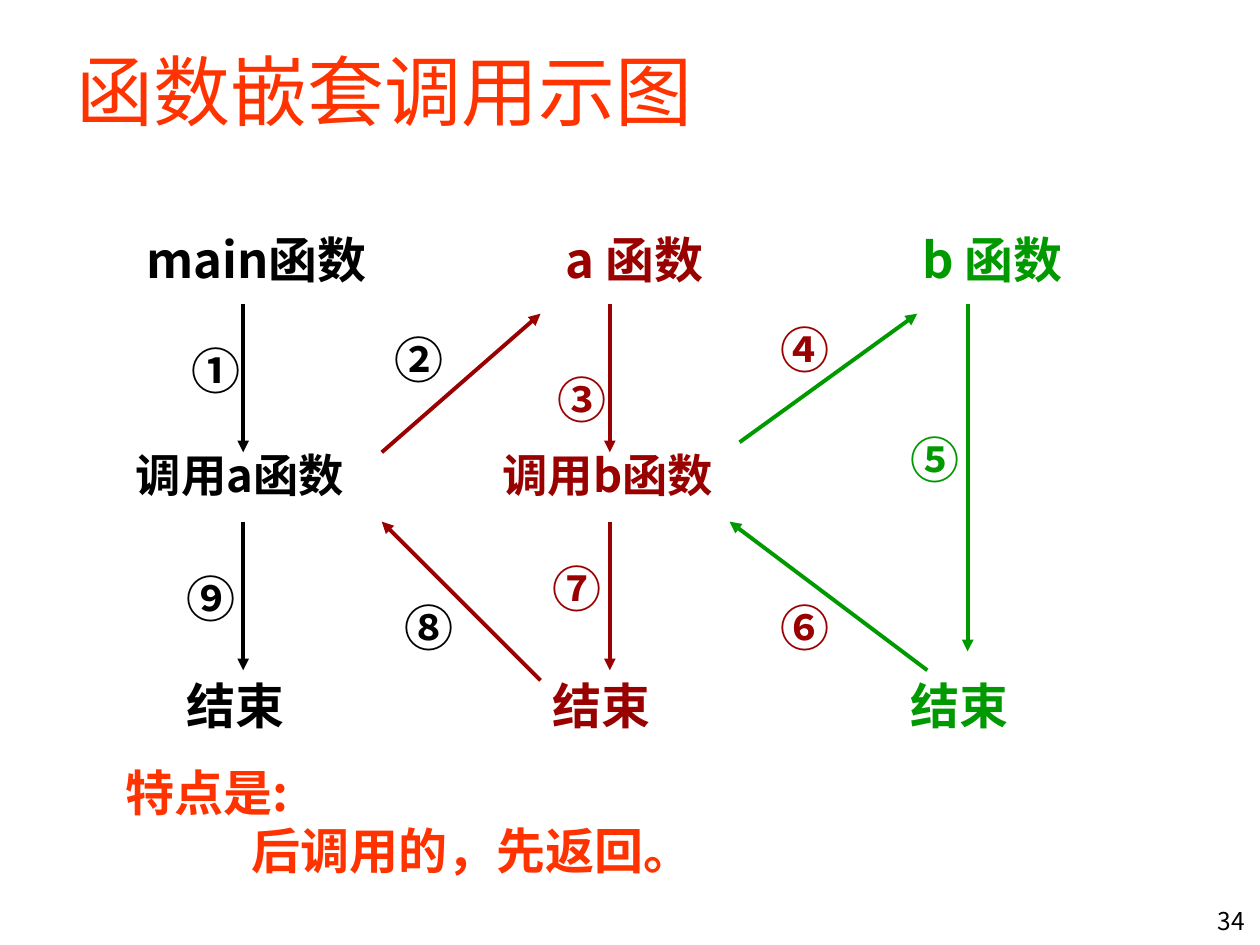
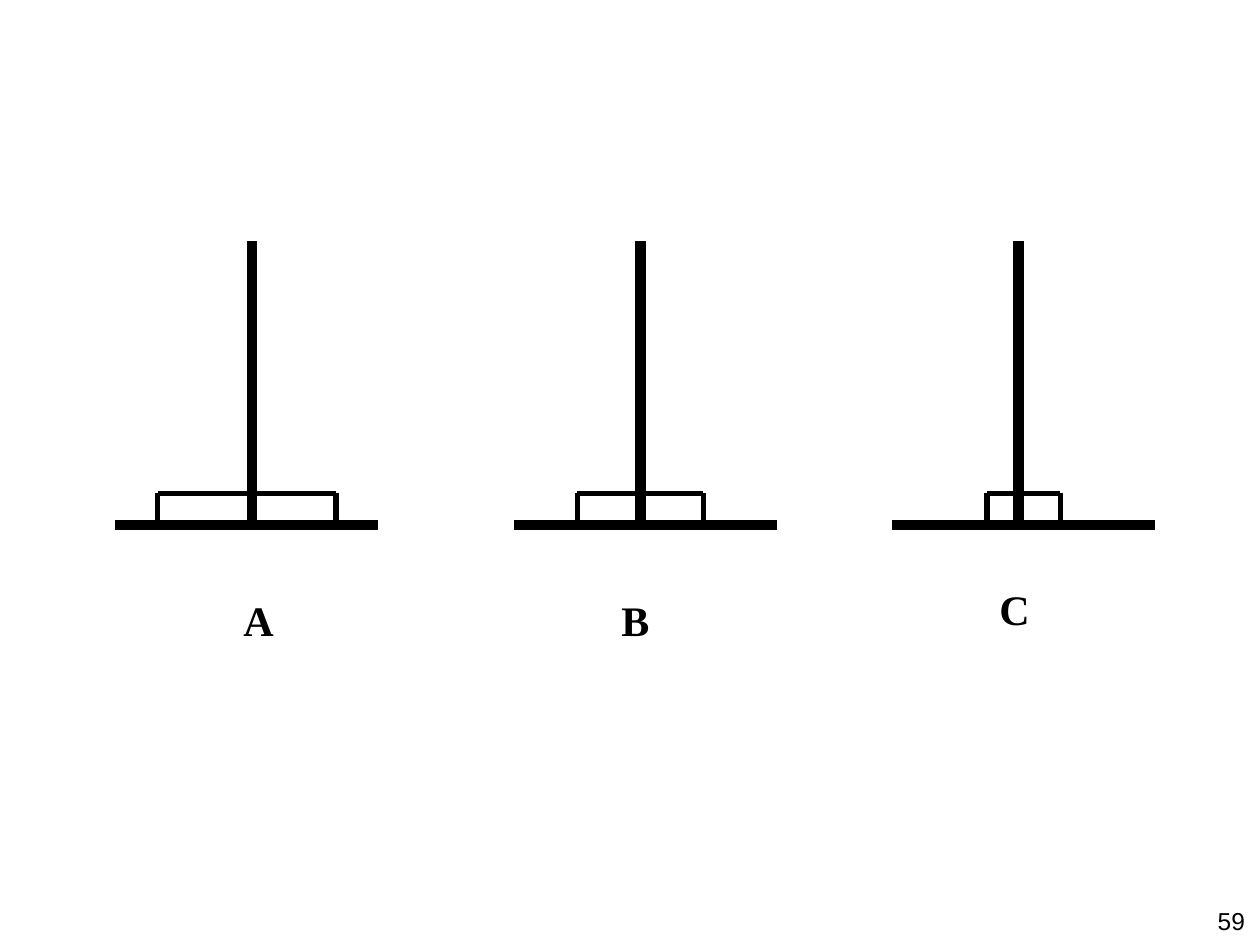
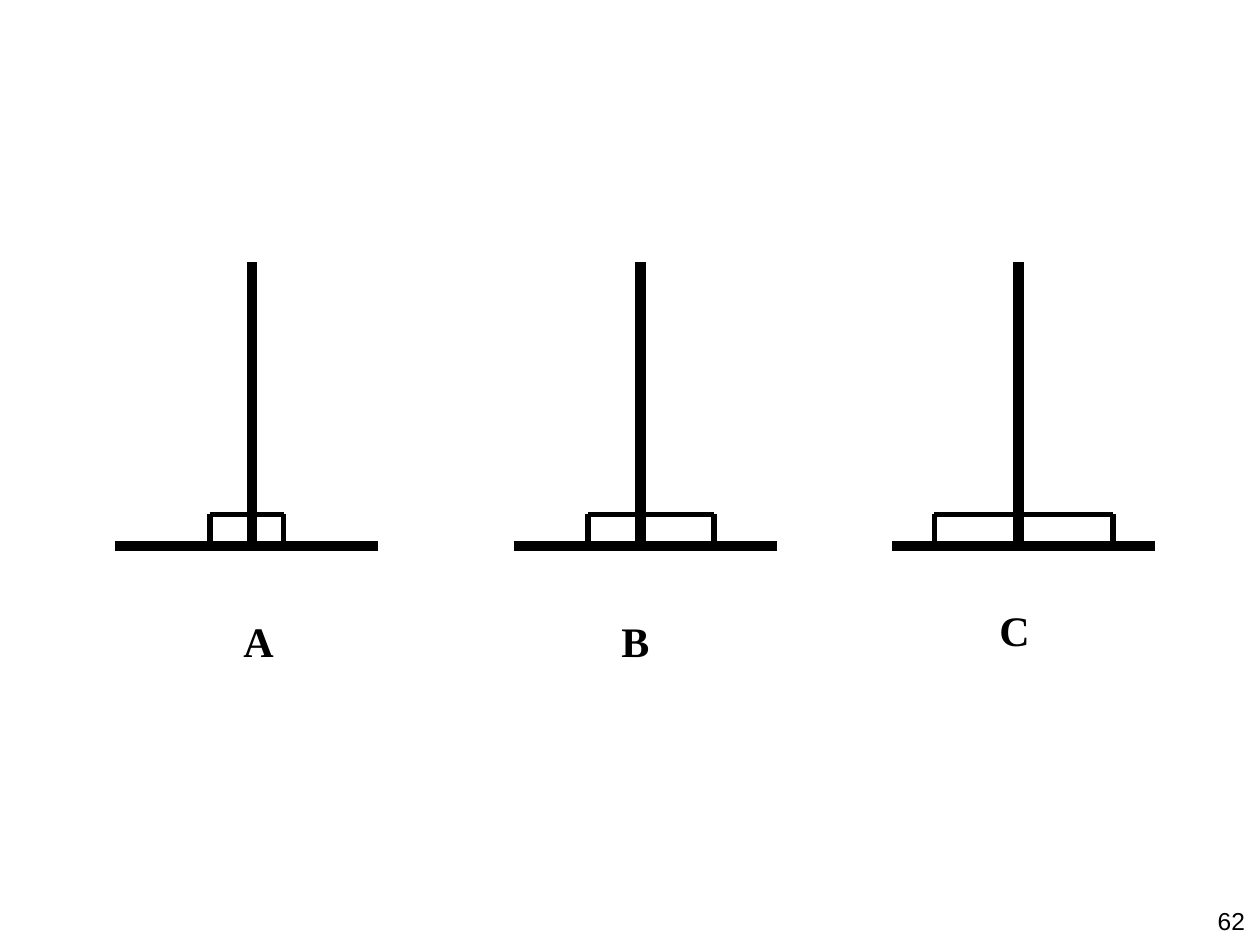
from dataclasses import dataclass

from lxml import etree
from pptx import Presentation
from pptx.dml.color import RGBColor
from pptx.enum.shapes import MSO_CONNECTOR, MSO_SHAPE
from pptx.enum.text import MSO_ANCHOR, MSO_AUTO_SIZE, PP_ALIGN
from pptx.oxml.ns import qn
from pptx.util import Inches, Pt

LEFT, CENTER, RIGHT = PP_ALIGN.LEFT, PP_ALIGN.CENTER, PP_ALIGN.RIGHT
TOP, MIDDLE = MSO_ANCHOR.TOP, MSO_ANCHOR.MIDDLE
FIXED, GROW = MSO_AUTO_SIZE.NONE, MSO_AUTO_SIZE.SHAPE_TO_FIT_TEXT
STRAIGHT = MSO_CONNECTOR.STRAIGHT
RECTANGLE = MSO_SHAPE.RECTANGLE

CONTENT_LAYOUT, BLANK_LAYOUT = 1, 6
COLUMNS, ROWS = 120, 90


@dataclass(frozen=True)
class Theme:
    ink: str = "000000"
    paper: str = "FFFFFF"
    accent: str = "FF3300"
    red: str = "990000"
    green: str = "009900"
    cjk: str = "Noto Sans CJK SC"
    sans: str = "Arial"
    serif: str = "Times New Roman"
    title_size: float = 44
    text_size: float = 28
    call_size: float = 25.9
    label_size: float = 24
    number_size: float = 14
    arrow_width: float = 2.25
    disk_width: float = 3
    peg_width: float = 6


THEME = Theme()


class Deck:
    """Places elements on a grid of COLUMNS by ROWS cells."""

    def __init__(self, theme):
        self.theme = theme
        self.prs = Presentation()
        self.prs.slide_width, self.prs.slide_height = Inches(10), Inches(7.5)
        self.slide = None

    def x(self, columns):
        return round(self.prs.slide_width * columns / COLUMNS)

    def y(self, rows):
        return round(self.prs.slide_height * rows / ROWS)

    def box(self, left, top, width, height):
        return self.x(left), self.y(top), self.x(width), self.y(height)

    def new_slide(self, layout, number, number_font):
        self.slide = self.prs.slides.add_slide(self.prs.slide_layouts[layout])
        self.text((94.8, 85.68, 24.96, 6), number, self.theme.number_size,
                  font=number_font, bold=False, align=RIGHT)

    def set_text(self, shape, text, size, color=None, font=None, bold=True,
                 align=LEFT, anchor=TOP, spacing=1.0, indents=(0,), wrap=True,
                 auto_size=FIXED):
        """Fill a shape with text; indents gives one left indent per paragraph."""
        frame = shape.text_frame
        frame.text = text
        frame.word_wrap = wrap
        frame.auto_size = auto_size
        frame.vertical_anchor = anchor
        for paragraph, indent in zip(frame.paragraphs, indents):
            paragraph.alignment = align
            paragraph.line_spacing = spacing
            paragraph.space_before = Pt(0)
            properties = paragraph._p.get_or_add_pPr()
            properties.set("marL", str(self.x(indent)))
            properties.set("indent", "0")
            etree.SubElement(properties, qn("a:buNone"))
            for run in paragraph.runs:
                run.font.size = Pt(size)
                run.font.bold = bold
                run.font.color.rgb = RGBColor.from_string(color or self.theme.ink)
                run.font.name = font or self.theme.cjk
                east_asian = etree.SubElement(run._r.get_or_add_rPr(), qn("a:ea"))
                east_asian.set("typeface", run.font.name)

    def text(self, area, text, size, **style):
        self.set_text(self.slide.shapes.add_textbox(*self.box(*area)), text, size, **style)

    def placeholder(self, index, area, text, size, **style):
        holder = self.slide.placeholders[index]
        holder.left, holder.top, holder.width, holder.height = self.box(*area)
        self.set_text(holder, text, size, **style)

    def plate(self, area, text, size, **style):
        """A paper-coloured rectangle carrying a label."""
        plate = self.slide.shapes.add_shape(RECTANGLE, *self.box(*area))
        plate.shadow.inherit = False
        paper = RGBColor.from_string(self.theme.paper)
        plate.fill.solid()
        plate.fill.fore_color.rgb = paper
        plate.line.color.rgb = paper
        plate.line.width = Pt(0.75)
        self.set_text(plate, text, size, **style)

    def line(self, start, end, color, width, arrow=False):
        connector = self.slide.shapes.add_connector(
            STRAIGHT, self.x(start[0]), self.y(start[1]), self.x(end[0]), self.y(end[1]))
        connector.line.color.rgb = RGBColor.from_string(color)
        connector.line.width = Pt(width)
        properties = connector._element.spPr
        if arrow:
            head = etree.SubElement(properties.find(qn("a:ln")), qn("a:tailEnd"))
            head.set("type", "triangle")
        etree.SubElement(properties, qn("a:effectLst"))


def nested_calls_slide(deck):
    theme = deck.theme
    deck.new_slide(CONTENT_LAYOUT, "34", theme.cjk)
    deck.placeholder(0, (6.12, 3.36, 109.56, 10.44), "函数嵌套调用示图",
                     theme.title_size, color=theme.accent, bold=False, anchor=MIDDLE)

    main_x, a_x, b_x = 23.16, 58.08, 92.16
    head_y, call_y, end_y = 22.32, 42.96, 64.8
    start_y, before_call, after_call, before_end = 28.92, 43.08, 49.68, 63.84
    wide, narrow, height = 25.56, 14.16, 5.76

    def heading_area(axis):
        return axis - 10.4, head_y, wide, height

    deck.placeholder(1, heading_area(main_x), "main函数", theme.text_size, spacing=0.8)
    for axis, heading, color in ((a_x, "a 函数", theme.red), (b_x, "b 函数", theme.green)):
        deck.text(heading_area(axis), heading, theme.text_size, color=color,
                  align=CENTER, spacing=0.8)
    for axis, call, color in ((main_x, "调用a函数", theme.ink), (a_x, "调用b函数", theme.red)):
        deck.text((axis - 11.4, call_y, wide, height), call, theme.call_size,
                  color=color, spacing=0.8)
    for axis, color in ((main_x, theme.ink), (a_x, theme.red), (b_x, theme.green)):
        deck.text((axis - 6.6, end_y, narrow, height), "结束", theme.text_size,
                  color=color, spacing=0.8)

    arrows = [
        ((b_x, start_y), (b_x, 62.04), theme.green),
        ((70.44, 42.12), (87.36, 29.88), theme.green),
        ((36.36, before_call), (51.48, 29.88), theme.red),
        ((51.48, end_y), (36.36, after_call), theme.red),
        ((88.32, before_end), (69.48, after_call), theme.green),
    ]
    for axis, color in ((main_x, theme.ink), (a_x, theme.red)):
        arrows.append(((axis, start_y), (axis, before_call), color))
        arrows.append(((axis, after_call), (axis, before_end), color))
    for start, end, color in arrows:
        deck.line(start, end, color, theme.arrow_width, arrow=True)

    steps = (
        ("①", 17.04, 31.8, theme.ink), ("②", 36.36, 30.84, theme.ink),
        ("③", 51.96, 34.56, theme.red), ("④", 73.2, 29.88, theme.red),
        ("⑤", 85.56, 40.32, theme.green), ("⑥", 73.2, 56.28, theme.red),
        ("⑦", 51.48, 52.56, theme.red), ("⑧", 37.32, 56.28, theme.ink),
        ("⑨", 16.56, 53.52, theme.ink),
    )
    for step, left, top, color in steps:
        deck.text((left, top, 5.16, 6.84), step, theme.text_size, color=color,
                  wrap=False, auto_size=GROW)

    deck.text((10.8, 72, 64.32, 12.48), "特点是:\n后调用的，先返回。", theme.text_size,
              color=theme.accent, indents=(0, 12), auto_size=GROW)


def hanoi_slide(deck, number, ground, disks):
    """Three pegs standing on row ground, each with a (left, right) disk."""
    theme = deck.theme
    deck.new_slide(BLANK_LAYOUT, number, theme.sans)
    pegs = (("A", 11, 24, 19, 6), ("B", 49, 61, 55, 6), ("C", 85, 97, 91, 5))
    for name, base, pole, label, drop in pegs:
        deck.line((base, ground), (base + 25, ground), theme.ink, theme.peg_width)
        deck.line((pole, ground - 27), (pole, ground), theme.ink, theme.peg_width)
        deck.plate((label, ground + drop, 12, 6), name, theme.label_size,
                   font=theme.serif, indents=(3,), auto_size=GROW)
    disk_top = ground - 3
    for left, right in disks:
        for side in (left, right):
            deck.line((side, disk_top), (side, ground), theme.ink, theme.disk_width)
        deck.line((left, disk_top), (right, disk_top), theme.ink, theme.disk_width)


def main():
    deck = Deck(THEME)
    nested_calls_slide(deck)
    hanoi_slide(deck, "59", 50, ((15, 32), (55, 67), (94, 101)))
    hanoi_slide(deck, "62", 52, ((20, 27), (56, 68), (89, 106)))
    deck.prs.save("out.pptx")


if __name__ == "__main__":
    main()
